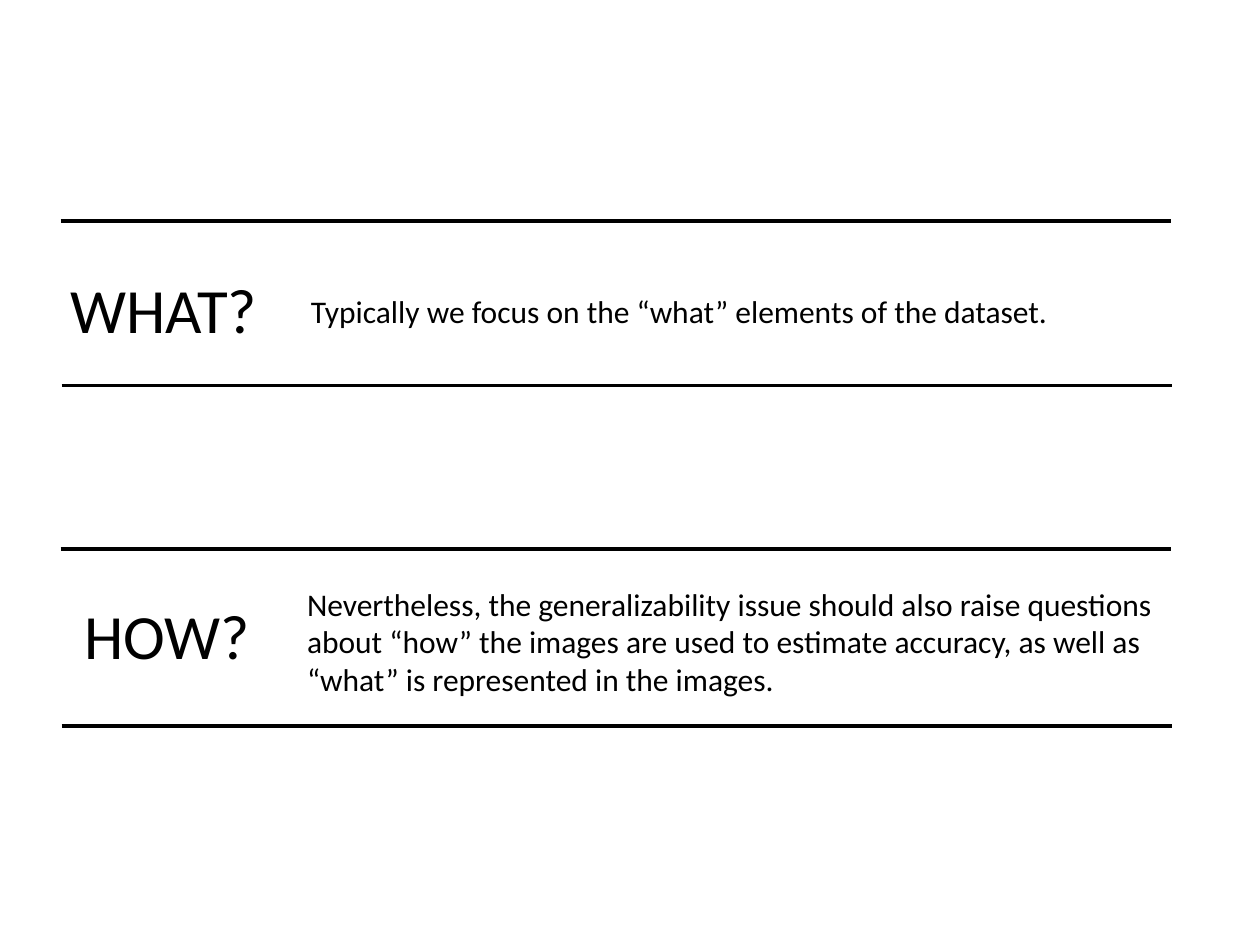
import pptx
import pptx.dml.color
import pptx.enum.shapes
import pptx.enum.text
import pptx.oxml
import pptx.util

Cm = pptx.util.Cm


def colour(hex_value):
    return pptx.dml.color.RGBColor.from_string(hex_value.lstrip("#"))


def write_text(frame, text, *, font, size, ink, wrap=True):
    frame.word_wrap = wrap
    frame.auto_size = pptx.enum.text.MSO_AUTO_SIZE.SHAPE_TO_FIT_TEXT
    run = frame.paragraphs[0].add_run()
    run.text = text
    run.font.name = font
    run.font.size = pptx.util.Pt(size)
    run.font.color.rgb = colour(ink)


class QuestionSlide:
    font = "Calibri"
    ink = "#000000"
    rule_width = 2
    heading_size = 36
    answer_size = 18

    def __init__(self, slide):
        self.slide = slide

    def text(self, text, left, top, width, height, size, wrap=True):
        box = self.slide.shapes.add_textbox(Cm(left), Cm(top), Cm(width), Cm(height))
        write_text(box.text_frame, text, font=self.font, size=size, ink=self.ink, wrap=wrap)

    def heading(self, text, left, top, width):
        self.text(text, left, top, width, 1.8, self.heading_size, wrap=False)

    def answer(self, text, left, top, width, height):
        self.text(text, left, top, width, height, self.answer_size)

    def rule(self, left, top, length=22.38):
        rule = self.slide.shapes.add_connector(
            pptx.enum.shapes.MSO_CONNECTOR.STRAIGHT,
            Cm(left), Cm(top), Cm(left + length), Cm(top))
        rule.line.color.rgb = colour(self.ink)
        rule.line.width = pptx.util.Pt(self.rule_width)
        properties = rule.element.spPr
        properties.append(properties.makeelement(pptx.oxml.ns.qn("a:effectLst"), {}))


def main():
    deck = pptx.Presentation()
    deck.slide_width, deck.slide_height = Cm(25.4), Cm(19.05)
    page = QuestionSlide(deck.slides.add_slide(deck.slide_layouts[6]))

    page.answer("Typically we focus on the “what” elements of the dataset.",
                6.02, 5.77, 19.66, 1.03)
    page.heading("WHAT?", 1.17, 5.33, 4.42)
    page.answer("Nevertheless, the generalizability issue should also raise questions "
                "about “how” the images are used to estimate accuracy, as well as "
                "“what” is represented in the images.",
                5.94, 11.66, 17.68, 2.57)
    page.heading("HOW?", 1.45, 11.91, 3.89)

    for band_top, band_bottom in ((4.45, 7.77), (11.07, 14.63)):
        page.rule(1.22, band_top)
        page.rule(1.24, band_bottom)

    deck.save("out.pptx")


if __name__ == "__main__":
    main()
